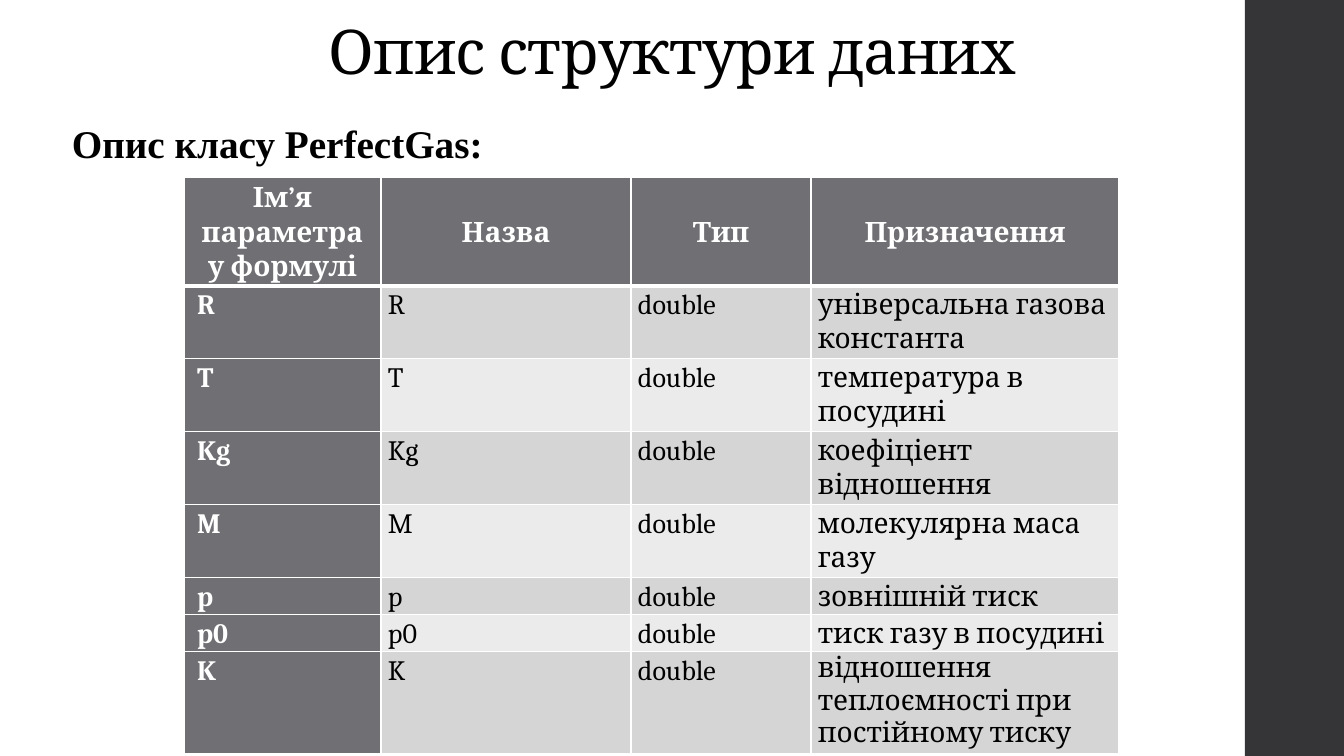
from lxml.etree import SubElement
from pptx import Presentation
from pptx.dml.color import RGBColor
from pptx.enum.shapes import MSO_SHAPE
from pptx.enum.text import MSO_ANCHOR, MSO_AUTO_SIZE, PP_ALIGN
from pptx.oxml.ns import qn
from pptx.util import Pt

PX = 12192000 / 1344
WHITE, BLACK, GRAY = "FFFFFF", "000000", "6F6F74"
BANDS = ["D5D5D6", "EBEBEB"]


def px(*lengths):
    return [round(length * PX) for length in lengths]


def style(paragraph, size, color, bold=False, font="Cambria", spacing=1.07, after=8):
    paragraph.line_spacing = spacing
    paragraph.space_after = Pt(after)
    for run in paragraph.runs:
        run.font.name = font
        run.font.size = Pt(size)
        run.font.bold = bold
        run.font.color.rgb = RGBColor.from_string(color)


deck = Presentation()
deck.slide_width, deck.slide_height = px(1344, 756)
slide = deck.slides.add_slide(deck.slide_layouts[5])

sidebar = slide.shapes.add_shape(MSO_SHAPE.RECTANGLE, *px(1245, 0, 99, 756))
sidebar.shadow.inherit = False
sidebar.fill.solid()
sidebar.fill.fore_color.rgb = RGBColor.from_string("353537")
sidebar.line.fill.background()

title = slide.shapes.title
title.left, title.top, title.width, title.height = px(138, 0, 1069, 93)
title.text_frame.text = "Опис структури даних"
title.text_frame.auto_size = MSO_AUTO_SIZE.NONE
title.text_frame.vertical_anchor = MSO_ANCHOR.BOTTOM
heading = title.text_frame.paragraphs[0]
heading.alignment = PP_ALIGN.CENTER
style(heading, 44, BLACK, spacing=0.9, after=0)
heading.runs[0].font._element.set("spc", "-50")

class_caption = slide.shapes.add_textbox(*px(62, 111, 673, 58)).text_frame
class_caption.word_wrap = True
class_caption.text = "Опис класу PerfectGas:"
style(class_caption.paragraphs[0], 28, BLACK, True, "Times New Roman")

headers = ["Ім’я параметра у формулі", "Назва", "Тип", "Призначення"]
purposes = {
    "R": "універсальна газова константа",
    "T": "температура в посудині",
    "Kg": "коефіціент відношення",
    "M": "молекулярна маса газу",
    "p": "зовнішній тиск",
    "p0": "тиск газу в посудині",
    "K": "відношення теплоємності при постійному тиску",
}
rows = [headers] + [[f" {name}", name, "double", purpose] for name, purpose in purposes.items()]
column_widths = [197, 250, 180, 308]
row_heights = [101, 68, 68, 65, 68, 34, 34, 95]

parameters = slide.shapes.add_table(
    len(rows), len(headers), *px(184, 177, sum(column_widths), sum(row_heights))
).table
parameters.first_col = True
for column, width in zip(parameters.columns, px(*column_widths)):
    column.width = width
for row, height in zip(parameters.rows, px(*row_heights)):
    row.height = height

for r, texts in enumerate(rows):
    for c, text in enumerate(texts):
        cell = parameters.cell(r, c)
        is_label = r == 0 or c == 0
        cell.text_frame.text = text
        cell.margin_left, cell.margin_top, cell.margin_right, cell.margin_bottom = px(7, 1, 7, 0)
        cell.vertical_anchor = MSO_ANCHOR.MIDDLE if r == 0 else MSO_ANCHOR.TOP
        for side in ("lnL", "lnR", "lnT", "lnB"):
            thick = (r, side) in ((0, "lnB"), (1, "lnT"))
            border = SubElement(cell._tc.get_or_add_tcPr(), qn(f"a:{side}"), w=str(Pt(3 if thick else 1)))
            SubElement(SubElement(border, qn("a:solidFill")), qn("a:srgbClr"), val=WHITE)
        cell.fill.solid()
        cell.fill.fore_color.rgb = RGBColor.from_string(GRAY if is_label else BANDS[(r - 1) % 2])
        paragraph = cell.text_frame.paragraphs[0]
        paragraph.alignment = PP_ALIGN.CENTER if r == 0 else PP_ALIGN.LEFT
        style(paragraph, 20, WHITE if is_label else BLACK, is_label)

last_purpose = parameters.cell(len(rows) - 1, 3).text_frame.paragraphs[0]
last_purpose.line_spacing = 1.0
last_purpose.space_after = Pt(0)

deck.save("out.pptx")
